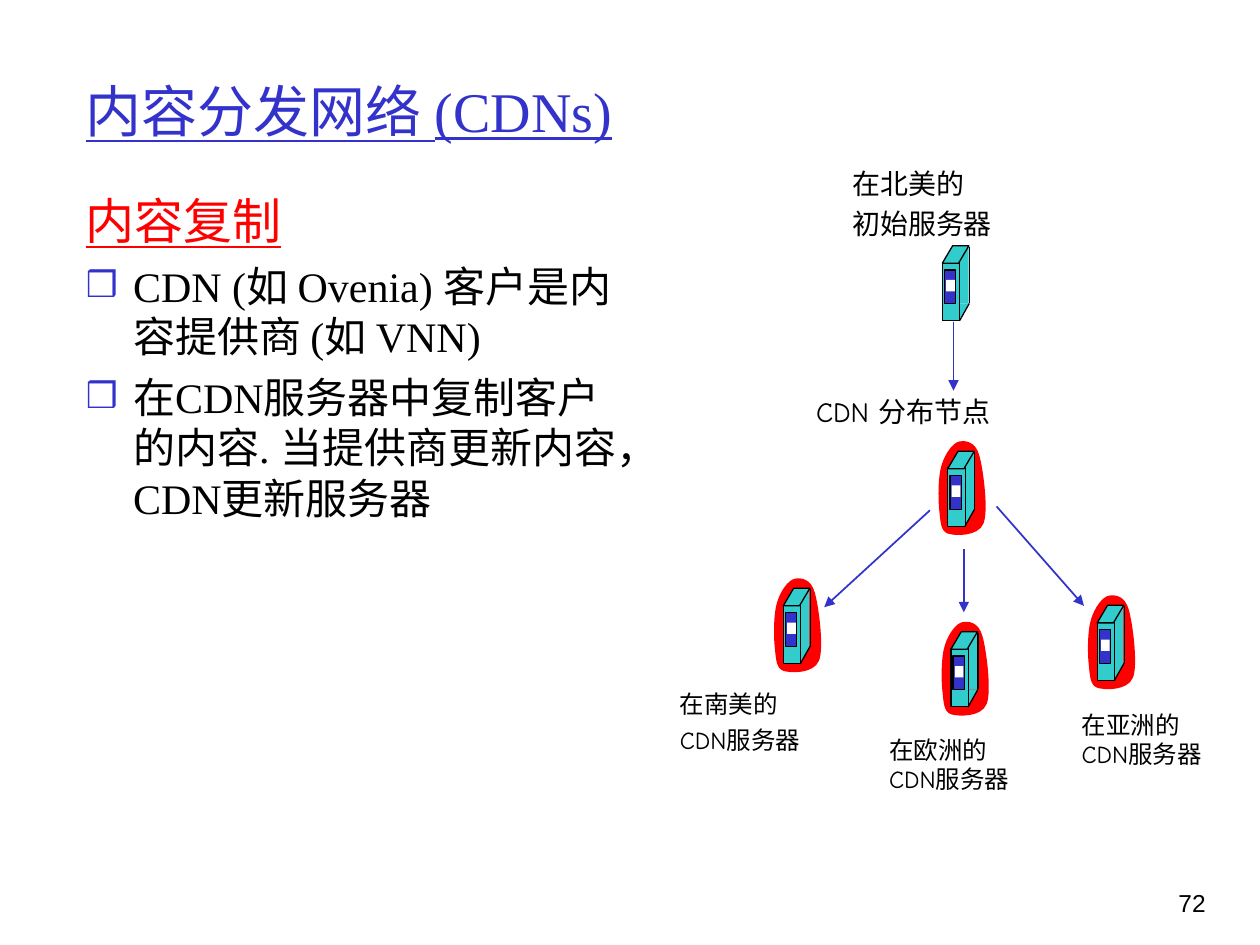
from lxml import etree
from pptx import Presentation
from pptx.dml.color import RGBColor
from pptx.enum.shapes import MSO_CONNECTOR, MSO_SHAPE
from pptx.enum.text import MSO_ANCHOR, MSO_AUTO_SIZE, PP_ALIGN
from pptx.oxml.ns import qn
from pptx.util import Pt

BLACK = RGBColor(0x00, 0x00, 0x00)
WHITE = RGBColor(0xFF, 0xFF, 0xFF)
BLUE = RGBColor(0x33, 0x33, 0xCC)
TEAL = RGBColor(0x33, 0xCC, 0xCC)
RED = RGBColor(0xFF, 0x00, 0x00)

RECTANGLE = MSO_SHAPE.RECTANGLE
PARALLELOGRAM = MSO_SHAPE.PARALLELOGRAM
STRAIGHT = MSO_CONNECTOR.STRAIGHT
LEFT, RIGHT = PP_ALIGN.LEFT, PP_ALIGN.RIGHT
TOP, MIDDLE = MSO_ANCHOR.TOP, MSO_ANCHOR.MIDDLE
NO_FIT, GROW = MSO_AUTO_SIZE.NONE, MSO_AUTO_SIZE.SHAPE_TO_FIT_TEXT

SERIF, LABEL_FONT, NUMBER_FONT = "Times New Roman", "Comic Neue", "Arial"
HANGING = 27

# Server faces: preset, left, top, width, height, fill, outlined
SERVER_FACES = [
    (PARALLELOGRAM, 0, 33, 15.2, 10, TEAL, False),
    (RECTANGLE, 7.6, 0, 7.4, 33, TEAL, False),
    (RECTANGLE, 0, 9.7, 10, 33.2, TEAL, True),
    (PARALLELOGRAM, 0, 0, 15.2, 10, TEAL, True),
]
SERVER_EDGES = [((15.4, 0.6), (15.4, 33)), ((15.4, 33), (9.8, 43))]
SERVER_PANEL = [
    (RECTANGLE, 1.2, 13.9, 6.5, 19.3, BLUE, True),
    (RECTANGLE, 2.2, 19.6, 5, 6.5, WHITE, False),
]
HALO_OFFSET = (-5.6, -6.2)
# Start, then two control points and an end for each curve
HALO_POINTS = [
    (2.2, 13.7),
    (4.3, 7.2), (8.6, 1.4), (12.2, 0.7),
    (15.8, 0), (21.4, 0.7), (23.6, 8.6),
    (25.8, 16.2), (29, 40.3), (26, 47.5),
    (23, 55.2), (9.4, 54.7), (5.5, 53.3),
    (1.4, 51.8), (1.4, 46.1), (0.7, 39.6),
    (0, 33.1), (0, 20.2), (2.2, 13.7),
]

ORIGIN_SERVER = (538.5, 140.4)
CDN_SERVERS = [(447.6, 336.2), (543.4, 361), (627, 345.9), (541.6, 257.8)]
ARROWS = [
    ((544.9, 184.3), (544.9, 223.2)),
    ((531.4, 291.6), (471, 347)),
    ((550.8, 313.9), (550.8, 349.9)),
    ((569.5, 289.4), (619.4, 346.2)),
]
# Labels: box, size, space before later lines, lines
LABELS = [
    ((480, 91.4, 96, 49.7), 16, 4, ["在北美的", "初始服务器"]),
    ((459.2, 221.8, 126, 26.6), 16, 0, ["CDN 分布节点"]),
    ((381.4, 390.2, 88, 45), 14, 3.5, ["在南美的", "CDN服务器"]),
    ((501, 416.5, 88, 41), 14, 0, ["在欧洲的", "CDN服务器"]),
    ((611, 402.2, 88, 41), 14, 0, ["在亚洲的", "CDN服务器"]),
]


def write(para, text, size, font=SERIF, color=BLACK, underline=False, align=LEFT, before=0):
    para.alignment = align
    para.space_before = Pt(before)
    span = para.add_run()
    span.text = text
    span.font.size, span.font.name = Pt(size), font
    span.font.color.rgb = color
    span.font.underline = underline


def prepare_frame(box, area, anchor=TOP, wrap=True, fit=NO_FIT):
    """Place a text-bearing box and set how its text sits."""
    box.left, box.top, box.width, box.height = map(Pt, area)
    frame = box.text_frame
    frame.word_wrap, frame.auto_size = wrap, fit
    frame.vertical_anchor = anchor
    return frame


def set_bullet(para, character=None):
    """Give the paragraph a hanging indent, with or without a bullet."""
    properties = para._p.get_or_add_pPr()
    properties.set("marL", str(Pt(HANGING)))
    properties.set("indent", str(Pt(-HANGING)))
    if character is None:
        etree.SubElement(properties, qn("a:buNone"))
        return
    color = etree.SubElement(properties, qn("a:buClr"))
    etree.SubElement(color, qn("a:srgbClr"), val=str(BLUE))
    etree.SubElement(properties, qn("a:buSzPct"), val="85000")
    etree.SubElement(properties, qn("a:buChar"), char=character)


def add_line(shapes, start, end, color, width, arrow=False):
    line = shapes.add_connector(STRAIGHT, *map(Pt, start + end))
    line.line.color.rgb, line.line.width = color, Pt(width)
    if arrow:
        etree.SubElement(line.line._get_or_add_ln(), qn("a:tailEnd"), type="triangle")
    etree.SubElement(line._element.spPr, qn("a:effectLst"))


def paint(shape, fill, outlined=False):
    shape.shadow.inherit = False
    shape.fill.solid()
    shape.fill.fore_color.rgb = fill
    if outlined:
        shape.line.color.rgb, shape.line.width = BLACK, Pt(0.75)
    else:
        shape.line.fill.background()


def bend_segments(shape):
    """Turn each three straight segments of a freeform into one cubic curve."""
    segments = list(shape._element.iter(qn("a:lnTo")))
    for index in range(0, len(segments), 3):
        curve = etree.Element(qn("a:cubicBezTo"))
        segments[index].addprevious(curve)
        for segment in segments[index:index + 3]:
            curve.append(segment[0])
            segment.getparent().remove(segment)


def add_halo(shapes, left, top):
    outline = [(Pt(left + x), Pt(top + y)) for x, y in HALO_POINTS]
    builder = shapes.build_freeform(*outline[0], scale=1.0)
    builder.add_line_segments(outline[1:], close=True)
    halo = builder.convert_to_shape()
    bend_segments(halo)
    paint(halo, RED)


def add_faces(shapes, left, top, faces):
    for preset, x, y, width, height, fill, outlined in faces:
        face = shapes.add_shape(preset, Pt(left + x), Pt(top + y), Pt(width), Pt(height))
        if preset == PARALLELOGRAM:
            face.adjustments[0] = 0.59
        paint(face, fill, outlined)


def add_server(page, left, top, halo=False):
    shapes = page.shapes.add_group_shape().shapes
    if halo:
        add_halo(shapes, left + HALO_OFFSET[0], top + HALO_OFFSET[1])
    add_faces(shapes, left, top, SERVER_FACES)
    for edge in SERVER_EDGES:
        start, end = ((left + x, top + y) for x, y in edge)
        add_line(shapes, start, end, BLACK, 0.75)
    add_faces(shapes, left, top, SERVER_PANEL)


def add_label(page, area, size, before, lines):
    box = page.shapes.add_textbox(*map(Pt, area))
    frame = prepare_frame(box, area, wrap=False, fit=GROW)
    for index, text in enumerate(lines):
        para = frame.add_paragraph() if index else frame.paragraphs[0]
        write(para, text, size, font=LABEL_FONT, before=before if index else 0)


def fill_title(page, area):
    frame = prepare_frame(page.shapes.title, area, anchor=MIDDLE)
    write(frame.paragraphs[0], "内容分发网络 (CDNs)", 32, color=BLUE, underline=True)


def fill_body(page, area):
    frame = prepare_frame(page.placeholders[1], area)
    heading = frame.paragraphs[0]
    set_bullet(heading)
    write(heading, "内容复制", 28, color=RED, underline=True)
    for text in ("CDN (如 Ovenia) 客户是内容提供商 (如 VNN)",
                 "在CDN服务器中复制客户的内容. 当提供商更新内容，CDN更新服务器"):
        para = frame.add_paragraph()
        set_bullet(para, "❒")
        write(para, text, 24, before=6)


def draw_network(page):
    add_server(page, *ORIGIN_SERVER)
    for place in CDN_SERVERS:
        add_server(page, *place, halo=True)
    for start, end in ARROWS:
        add_line(page.shapes, start, end, BLUE, 1, arrow=True)
    for label in LABELS:
        add_label(page, *label)


def add_page_number(page, area):
    box = page.shapes.add_textbox(*map(Pt, area))
    frame = prepare_frame(box, area)
    write(frame.paragraphs[0], "72", 14, font=NUMBER_FONT, align=RIGHT)


def main():
    deck = Presentation()
    deck.slide_width, deck.slide_height = Pt(720), Pt(540)
    page = deck.slides.add_slide(deck.slide_layouts[1])
    fill_title(page, (41.8, 18, 632, 90))
    fill_body(page, (41.8, 105.4, 320.4, 386.6))
    draw_network(page)
    add_page_number(page, (642.8, 504, 53.3, 36))
    deck.save("out.pptx")


if __name__ == "__main__":
    main()
